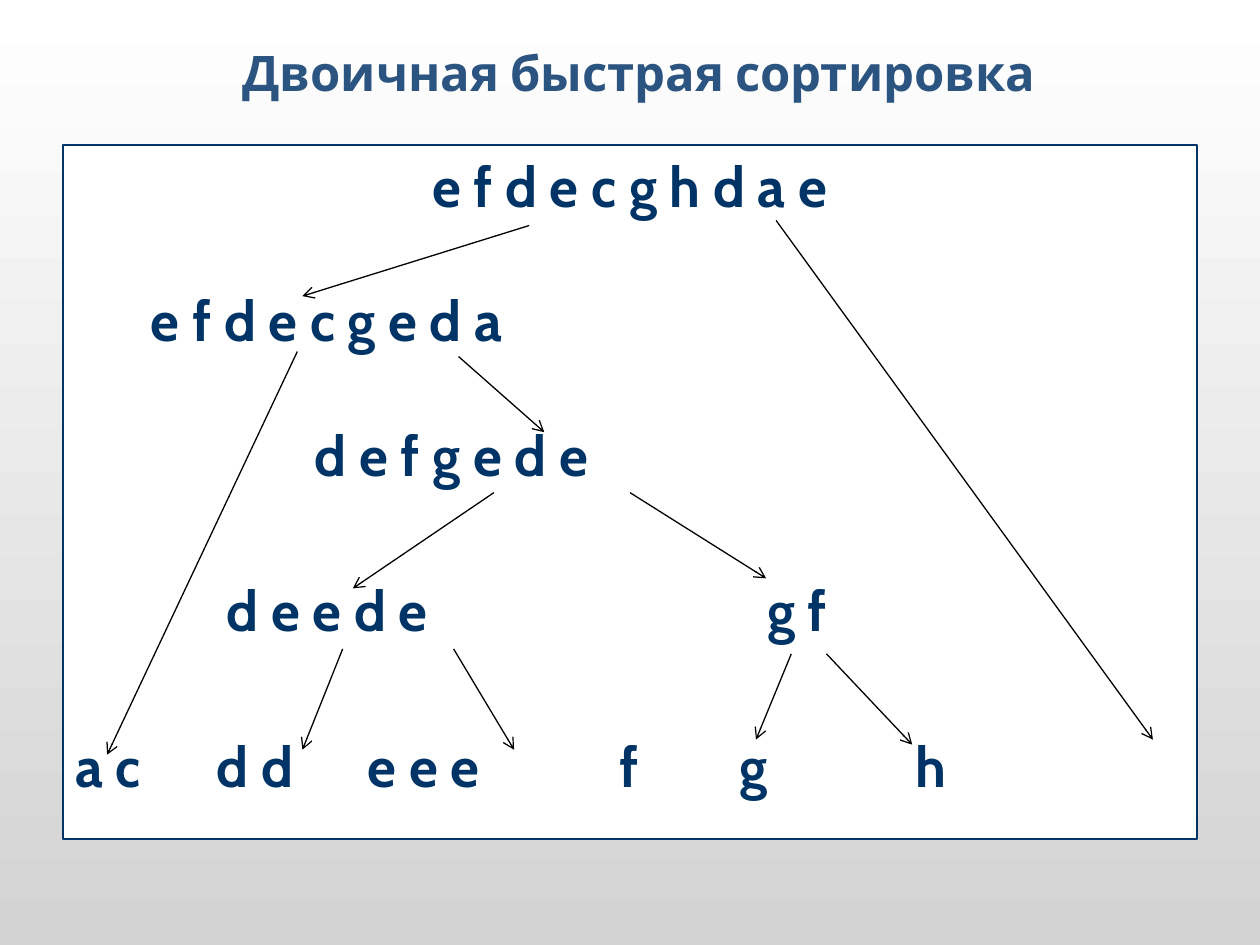
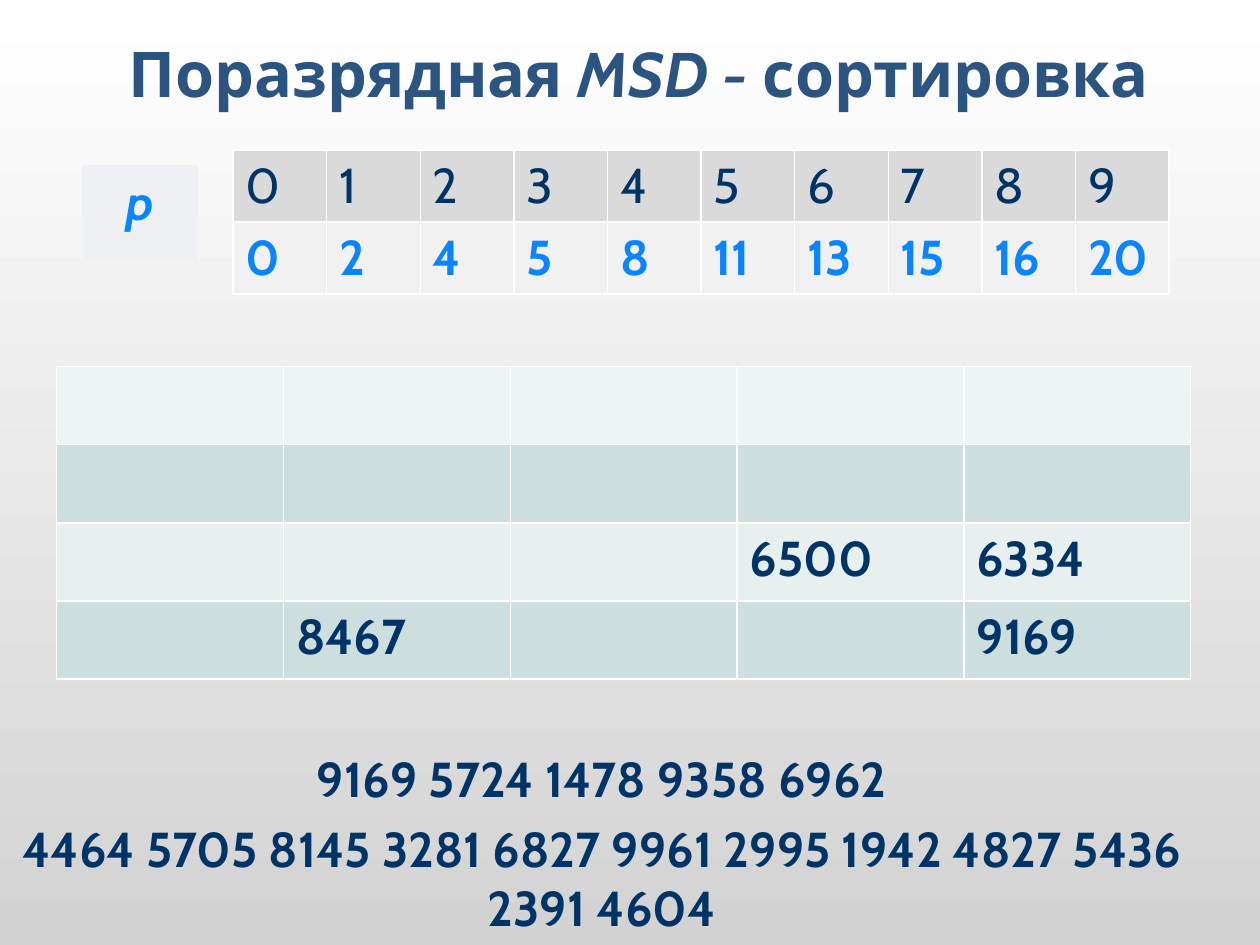
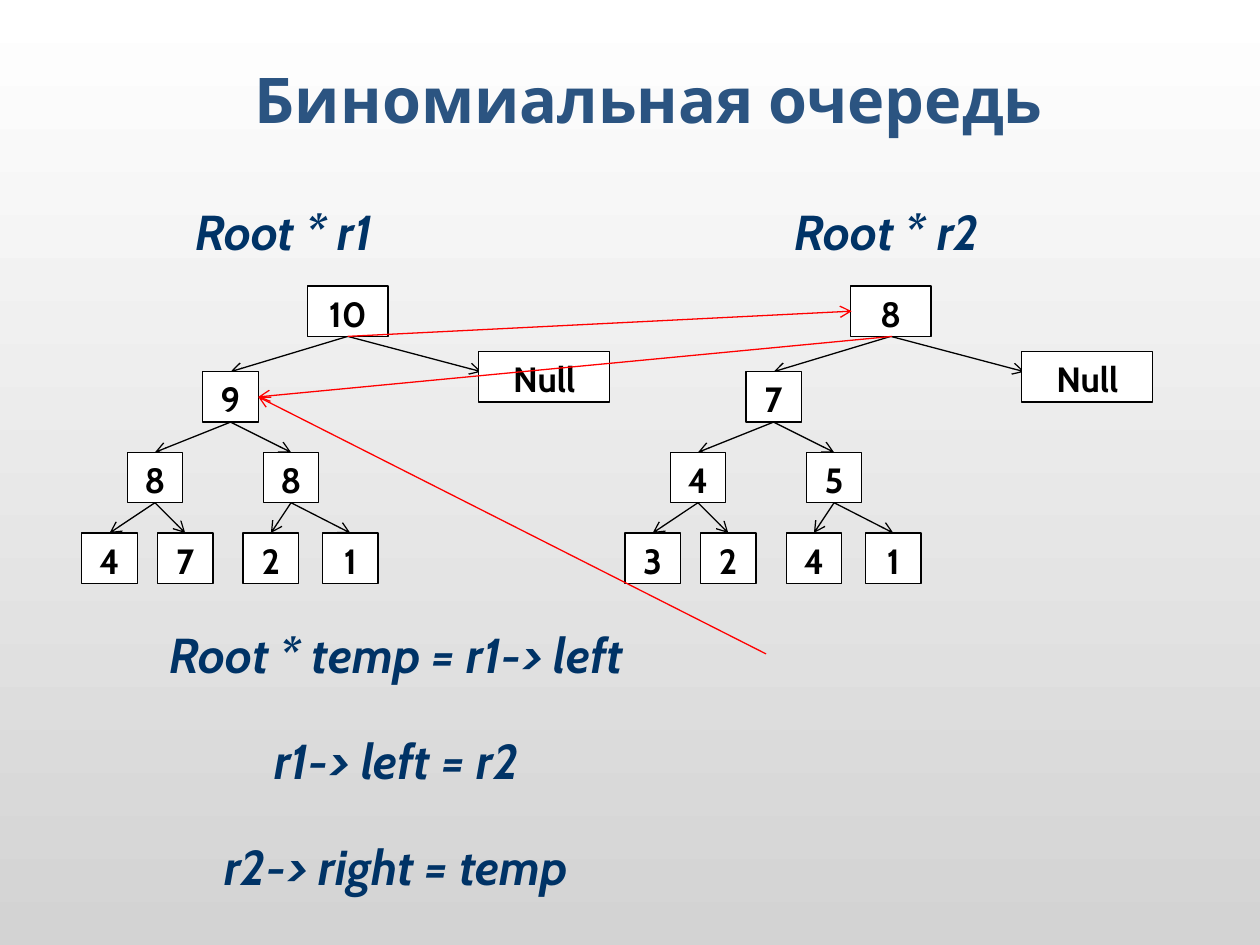
from lxml import etree
from pptx import Presentation
from pptx.dml.color import RGBColor
from pptx.enum.shapes import MSO_CONNECTOR, MSO_SHAPE
from pptx.enum.text import MSO_ANCHOR, MSO_AUTO_SIZE, PP_ALIGN
from pptx.oxml.ns import qn
from pptx.util import Inches, Pt

WHITE = RGBColor(0xFF, 0xFF, 0xFF)
BLACK = RGBColor(0, 0, 0)
RED = RGBColor(0xFF, 0, 0)
GREY = RGBColor(0xD3, 0xD3, 0xD3)
NAVY = RGBColor(0x00, 0x33, 0x66)
TITLE_BLUE = RGBColor(0x2B, 0x54, 0x81)
BRIGHT_BLUE = RGBColor(0x0A, 0x85, 0xFF)
PALE_BLUE = RGBColor(0xEE, 0xF0, 0xF3)
INDEX_FILLS = [RGBColor(0xDA, 0xDA, 0xDA), RGBColor(0xF1, 0xF1, 0xF1)]
BIN_FILLS = [RGBColor(0xEE, 0xF4, 0xF4), RGBColor(0xCC, 0xDE, 0xDE),
             RGBColor(0xE7, 0xEF, 0xEF), RGBColor(0xCC, 0xDE, 0xDE)]
FONT = "Cabin"
TITLE_BOX = (0.57, 0.32, 9, 0.5)

# Sorting steps: text, left indent, space before (pt), tab stops
SORT_STEPS = [
    ("e f d e c g h d a e", None, 0, []),
    ("e f d e c g e d a", 0.6, 38.5, []),
    ("d e f g e d e", 1.9, 38.5, []),
    ("d e e d e\tg f", 1.2, 50.5, [4.29]),
    ("a c\td d\te e e\tf\tg\th", 0, 50.5, [1.12, 2.32, 4.32, 5.27, 6.67]),
]
SORT_ARROWS = [
    ((4.2, 1.79), (2.4, 2.35)), ((6.16, 1.75), (9.15, 5.87)),
    ((2.36, 2.79), (0.85, 5.99)), ((3.64, 2.83), (4.32, 3.43)),
    ((3.92, 3.91), (2.8, 4.67)), ((5, 3.91), (6.08, 4.59)),
    ((2.72, 5.15), (2.4, 5.95)), ((3.6, 5.15), (4.08, 5.95)),
    ((6.28, 5.19), (6, 5.87)), ((6.56, 5.19), (7.24, 5.91)),
]

BIN_STARTS = [range(10), [0, 2, 4, 5, 8, 11, 13, 15, 16, 20]]
BINS = [[""] * 5, [""] * 5,
        ["", "", "", "6500", "6334"], ["", "8467", "", "", "9169"]]
UNSORTED = ["9169 5724 1478 9358 6962",
            "4464 5705 8145 3281 6827 9961 2995 1942 4827 5436 2391 4604"]

# Left and top of each tree node in heap order: the parent of node i is i // 2
NODE_SPOTS = [(1.79, 0), (0.96, 0.68), (0.36, 1.32), (1.44, 1.32),
              (0, 1.96), (0.6, 1.96), (1.28, 1.96), (1.91, 1.96)]
NODE_WIDTH, ROOT_WIDTH, NULL_WIDTH, NODE_HEIGHT = 0.44, 0.64, 1.04, 0.4


def inches(*lengths):
    return [Inches(length) for length in lengths]


def style(para, size, color, bold=True, italic=False, align=PP_ALIGN.CENTER):
    para.alignment = align
    font = para.font
    font.name, font.size = FONT, Pt(size)
    font.bold, font.italic = bold, italic
    font.color.rgb = color


def add_page(deck, title_parts, size, box=TITLE_BOX):
    """Add a titled slide; title_parts are (text, italic) pairs."""
    page = deck.slides.add_slide(deck.slide_layouts[5])
    title = page.shapes.title
    title.left, title.top, title.width, title.height = inches(*box)
    frame = title.text_frame
    frame.auto_size = MSO_AUTO_SIZE.NONE
    frame.vertical_anchor = MSO_ANCHOR.MIDDLE
    para = frame.paragraphs[0]
    style(para, size, TITLE_BLUE)
    for text, italic in title_parts:
        span = para.add_run()
        span.text = text
        if italic:
            span.font.italic = True
    return page


def add_text(page, box, lines, italic=False):
    frame = page.shapes.add_textbox(*inches(*box)).text_frame
    frame.word_wrap = True
    for index, line in enumerate(lines):
        para = frame.paragraphs[0] if index == 0 else frame.add_paragraph()
        para.text = line
        style(para, 28, NAVY, italic=italic)
        if index:
            para.space_before = Pt(6.7)


def add_box(page, box, fill, line=None):
    shape = page.shapes.add_shape(MSO_SHAPE.RECTANGLE, *inches(*box))
    shape.shadow.inherit = False
    shape.fill.solid()
    shape.fill.fore_color.rgb = fill
    if line is None:
        shape.line.fill.background()
    else:
        shape.line.color.rgb = line
        shape.line.width = Pt(0.75)
    shape.text_frame.vertical_anchor = MSO_ANCHOR.TOP
    return shape


def add_arrow(page, start, end, color=BLACK):
    arrow = page.shapes.add_connector(MSO_CONNECTOR.STRAIGHT, *inches(*start, *end))
    arrow.line.color.rgb = color
    arrow.line.width = Pt(0.75)
    etree.SubElement(arrow.line._get_or_add_ln(), qn("a:tailEnd"), type="arrow")
    etree.SubElement(arrow._element.spPr, qn("a:effectLst"))


def set_borders(cell):
    props = cell._tc.get_or_add_tcPr()
    for index, side in enumerate(("lnL", "lnR", "lnT", "lnB")):
        border = etree.Element(qn(f"a:{side}"), w=str(Pt(1)))
        paint = etree.SubElement(border, qn("a:solidFill"))
        etree.SubElement(paint, qn("a:srgbClr"), val=str(WHITE))
        props.insert(index, border)


def add_grid(page, box, rows, fills, fonts):
    """Fill a table of equal cells; fonts gives (colour, bold) for each row."""
    table = page.shapes.add_table(len(rows), len(rows[0]), *inches(*box)).table
    for row, values in enumerate(rows):
        for column, value in enumerate(values):
            cell = table.cell(row, column)
            cell.fill.solid()
            cell.fill.fore_color.rgb = fills[row]
            set_borders(cell)
            para = cell.text_frame.paragraphs[0]
            para.text = str(value)
            style(para, 28, *fonts[row], align=PP_ALIGN.LEFT)


def add_sort_steps(page, box):
    frame = add_box(page, box, WHITE, NAVY).text_frame
    for index, (text, indent, gap, stops) in enumerate(SORT_STEPS):
        para = frame.paragraphs[0] if index == 0 else frame.add_paragraph()
        para.text = text
        style(para, 32, NAVY,
              align=PP_ALIGN.CENTER if indent is None else PP_ALIGN.LEFT)
        para.space_before = Pt(gap)
        props = para._p.get_or_add_pPr()
        props.set("marL", str(Inches(indent or 0)))
        if stops:
            tabs = etree.Element(qn("a:tabLst"))
            for stop in stops:
                etree.SubElement(tabs, qn("a:tab"), pos=str(Inches(stop)), algn="l")
            props.find(qn("a:defRPr")).addprevious(tabs)


def add_node(page, box, text):
    para = add_box(page, box, WHITE, BLACK).text_frame.paragraphs[0]
    para.text = text
    style(para, 20, BLACK)


def add_tree(page, left, top, values):
    """Draw a heap-ordered tree whose root has an empty right child."""
    boxes = [(left + x, top + y, NODE_WIDTH if index else ROOT_WIDTH, NODE_HEIGHT)
             for index, (x, y) in enumerate(NODE_SPOTS)]

    def foot(index):
        x, y, width, height = boxes[index]
        return x + width / 2, y + height

    for index, (x, y, width, _) in enumerate(boxes[1:], start=1):
        add_arrow(page, foot(index // 2), (x + width / 2, y))
    add_arrow(page, foot(0), (left + 3.17, top + 0.68))
    for box, value in zip(boxes, values):
        add_node(page, box, value)
    add_node(page, (left + 3.15, top + 0.52, NULL_WIDTH, NODE_HEIGHT), "Null")


def add_quicksort_page(deck):
    page = add_page(deck, [("Двоичная быстрая сортировка", False)], 28)
    add_sort_steps(page, (0.5, 1.15, 9, 5.51))
    for start, end in SORT_ARROWS:
        add_arrow(page, start, end)


def add_radix_page(deck):
    page = add_page(deck, [("Поразрядная ", False), ("MSD - ", True),
                           ("сортировка", False)], 36)
    add_grid(page, (0.45, 2.91, 9, 2.48), BINS, BIN_FILLS, [(NAVY, True)] * 4)
    para = add_box(page, (0.65, 1.31, 0.92, 0.76), PALE_BLUE).text_frame.paragraphs[0]
    para.text = "p"
    style(para, 28, BRIGHT_BLUE, italic=True)
    add_grid(page, (1.85, 1.19, 7.43, 1.14), BIN_STARTS, INDEX_FILLS,
             [(NAVY, False), (BRIGHT_BLUE, True)])
    add_text(page, (0, 5.89, 9.55, 1.61), UNSORTED)


def add_queue_page(deck):
    page = add_page(deck, [("Биномиальная очередь", False)], 36, (0.65, 0.24, 9, 1.08))
    add_tree(page, 0.65, 2.27, ["10", "9", "8", "8", "4", "7", "2", "1"])
    add_tree(page, 4.96, 2.27, ["8", "7", "4", "5", "3", "2", "4", "1"])
    for left, label in ((1.09, "Root * r1"), (5.88, "Root * r2")):
        add_text(page, (left, 1.55, 2.32, 0.57), [label], italic=True)
    steps = ["Root * temp = r1-> left", "r1-> left = r2", "r2-> right = temp"]
    for index, step in enumerate(steps):
        add_text(page, (0.21, 4.91 + 0.84 * index, 5.87, 0.57), [step], italic=True)
    for start, end in (((6.08, 5.19), (2.05, 3.15)), ((2.76, 2.67), (6.76, 2.47)),
                       ((7.08, 2.67), (2.05, 3.15))):
        add_arrow(page, start, end, RED)


def main():
    deck = Presentation()
    deck.slide_width, deck.slide_height = inches(10, 7.5)
    backdrop = deck.slide_master.background.fill
    backdrop.gradient()
    backdrop.gradient_angle = 270
    for stop, color in zip(backdrop.gradient_stops, (WHITE, GREY)):
        stop.color.rgb = color
    add_quicksort_page(deck)
    add_radix_page(deck)
    add_queue_page(deck)
    deck.save("out.pptx")


if __name__ == "__main__":
    main()
